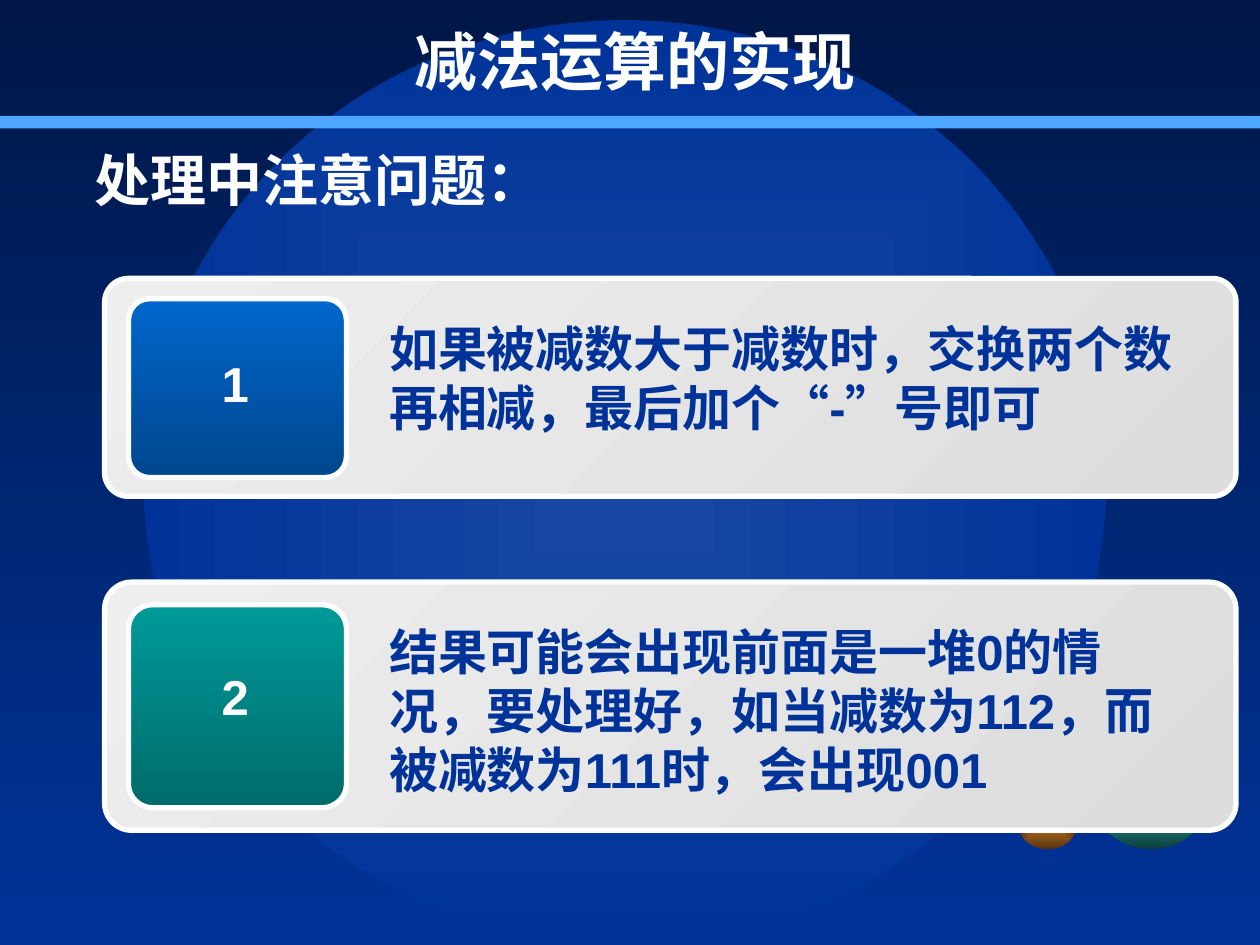
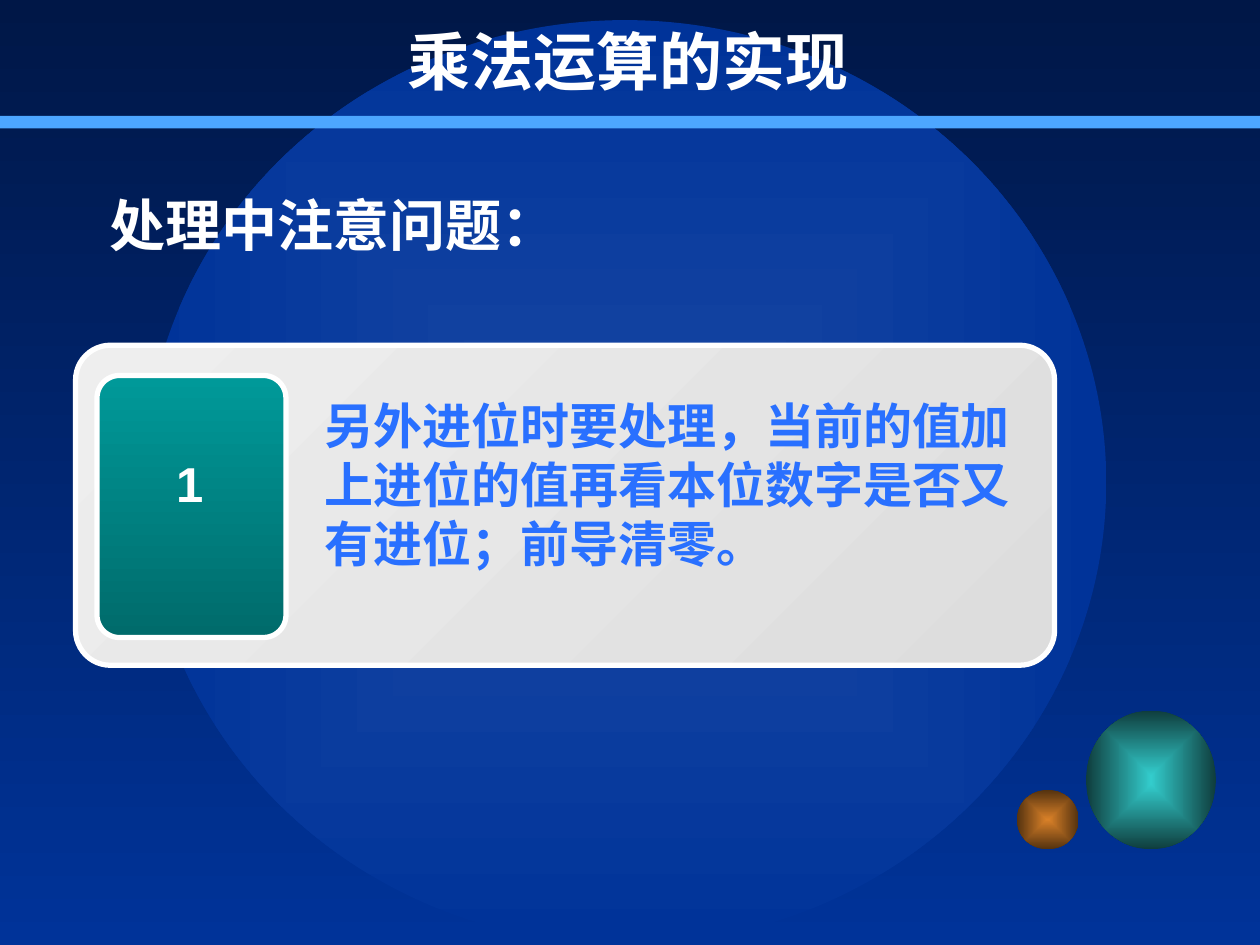
from lxml.etree import SubElement
from pptx import Presentation
from pptx.dml.color import RGBColor
from pptx.enum.shapes import MSO_SHAPE as SHAPE
from pptx.enum.text import MSO_ANCHOR as ANCHOR, PP_ALIGN as ALIGN
from pptx.oxml.ns import qn
from pptx.util import Inches, Pt

WHITE = RGBColor(0xFF, 0xFF, 0xFF)
NIGHT = RGBColor(0x00, 0x17, 0x47)
NAVY = RGBColor(0x00, 0x33, 0x99)
BRIGHT = RGBColor(0x29, 0x70, 0xFF)
BAND = RGBColor(0x4D, 0xA6, 0xFF)
GLOBE = (RGBColor(0x19, 0x48, 0xA4), NAVY)
TEAL_BALL = (RGBColor(0x33, 0xCC, 0xCC), RGBColor(0x0F, 0x3D, 0x3D))
ORANGE_BALL = (RGBColor(0xD8, 0x80, 0x28), RGBColor(0x54, 0x32, 0x0F))
PANEL = (RGBColor(0xEE, 0xEE, 0xEE), RGBColor(0xDD, 0xDD, 0xDD))
BLUE_TILE = (RGBColor(0x00, 0x66, 0xCC), RGBColor(0x00, 0x47, 0x8E))
TEAL_TILE = (RGBColor(0x00, 0x99, 0x99), RGBColor(0x00, 0x6B, 0x6B))
TITLE_FONT = "DejaVu Sans"
CJK_FONT = "Noto Sans CJK SC"

BALLS = [
    ((1.14, 0.16, 7.64, 7.34), GLOBE),
    ((8.62, 5.64, 1.03, 1.1), TEAL_BALL),
    ((8.07, 6.27, 0.49, 0.47), ORANGE_BALL),
]

SLIDES = [
    dict(title="减法运算的实现", title_left=0.58, heading_at=(0.65, 1.11), cards=[
        dict(panel=(0.83, 2.21, 8.98, 1.73), tile=(1.02, 2.37, 1.73, 1.42),
             colors=BLUE_TILE, number=(1.66, 2.76, 0.41, 0.57),
             body=(2.99, 2.48, 6.6, 1.04), font="Arial", color=NAVY,
             text="如果被减数大于减数时，交换两个数再相减，最后加个“-”号即可"),
        dict(panel=(0.83, 4.62, 8.98, 1.97), tile=(1.02, 4.8, 1.73, 1.61),
             colors=TEAL_TILE, number=(1.66, 5.24, 0.41, 0.57),
             body=(2.99, 4.88, 6.6, 1.5), font="Arial", color=NAVY,
             text="结果可能会出现前面是一堆0的情况，要处理好，如当减数为112，而被减数为111时，会出现001"),
    ]),
    dict(title="乘法运算的实现 ", title_left=0.61, heading_at=(0.77, 1.47), cards=[
        dict(panel=(0.6, 2.74, 7.77, 2.54), tile=(0.77, 2.98, 1.5, 2.08),
             colors=TEAL_TILE, number=(1.3, 3.55, 0.41, 0.57),
             body=(2.48, 3.09, 5.71, 1.5), font=CJK_FONT, color=BRIGHT,
             text="另外进位时要处理，当前的值加上进位的值再看本位数字是否又有进位；前导清零。"),
    ]),
]


def add_text(shapes, box, text, size=28, font="Arial", cjk=CJK_FONT, color=WHITE,
             align=ALIGN.LEFT, anchor=ANCHOR.TOP, wrap=True, spacing=None):
    tf = shapes.add_textbox(*map(Inches, box)).text_frame
    tf.word_wrap = wrap
    tf.vertical_anchor = anchor
    p = tf.paragraphs[0]
    p.alignment = align
    p._p.get_or_add_pPr().set("hangingPunct", "0")
    if spacing:
        p.line_spacing = Pt(spacing)
    r = p.add_run()
    r.text = text
    r.font.size = Pt(size)
    r.font.bold = True
    r.font.name = font
    r.font.color.rgb = color
    rPr = r._r.get_or_add_rPr()
    rPr.set("lang", "zh-CN")
    SubElement(rPr, qn("a:ea")).set("typeface", cjk)


def set_gradient(fill, colors, angle=270):
    fill.gradient()
    fill.gradient_angle = angle
    for stop, color, position in zip(fill.gradient_stops, colors, (0, 1)):
        stop.color.rgb = color
        stop.position = position


prs = Presentation()
prs.slide_width, prs.slide_height = Inches(10), Inches(7.5)

for content in SLIDES:
    s = prs.slides.add_slide(prs.slide_layouts[6])
    set_gradient(s.background.fill, (NIGHT, NAVY))

    for box, colors in BALLS:
        sp = s.shapes.add_shape(SHAPE.OVAL, *map(Inches, box))
        sp.shadow.inherit = False
        sp.line.fill.background()
        set_gradient(sp.fill, colors)
        grad = sp._element.spPr.find(qn("a:gradFill"))
        grad.remove(grad.find(qn("a:lin")))
        center = SubElement(grad, qn("a:path"))
        center.set("path", "rect")
        rect = SubElement(center, qn("a:fillToRect"))
        for side in "ltrb":
            rect.set(side, "50000")

    band = s.shapes.add_shape(SHAPE.RECTANGLE, 0, Inches(0.92), Inches(10), Inches(0.1))
    band.shadow.inherit = False
    band.line.fill.background()
    band.fill.solid()
    band.fill.fore_color.rgb = BAND

    add_text(s.shapes, (*content["heading_at"], 8.92, 0.62), "处理中注意问题：",
             size=32, font=TITLE_FONT, cjk=TITLE_FONT, anchor=ANCHOR.MIDDLE)

    for number, card in enumerate(content["cards"], 1):
        group = s.shapes.add_group_shape()
        for box, colors, angle, radius in ((card["panel"], PANEL, 315, 0.109),
                                           (card["tile"], card["colors"], 270, 0.119)):
            sp = group.shapes.add_shape(SHAPE.ROUNDED_RECTANGLE, *map(Inches, box))
            sp.adjustments[0] = radius
            sp.shadow.inherit = False
            sp.line.color.rgb = WHITE
            sp.line.width = Pt(3)
            set_gradient(sp.fill, colors, angle)
        add_text(group.shapes, card["number"], str(number), align=ALIGN.CENTER, wrap=False)
        add_text(group.shapes, card["body"], card["text"], font=card["font"],
                 color=card["color"], spacing=33.7)

    add_text(s.shapes, (content["title_left"], 0.17, 8.92, 0.62), content["title"], size=36,
             font=TITLE_FONT, cjk=TITLE_FONT, align=ALIGN.CENTER, anchor=ANCHOR.MIDDLE)

prs.save("out.pptx")
